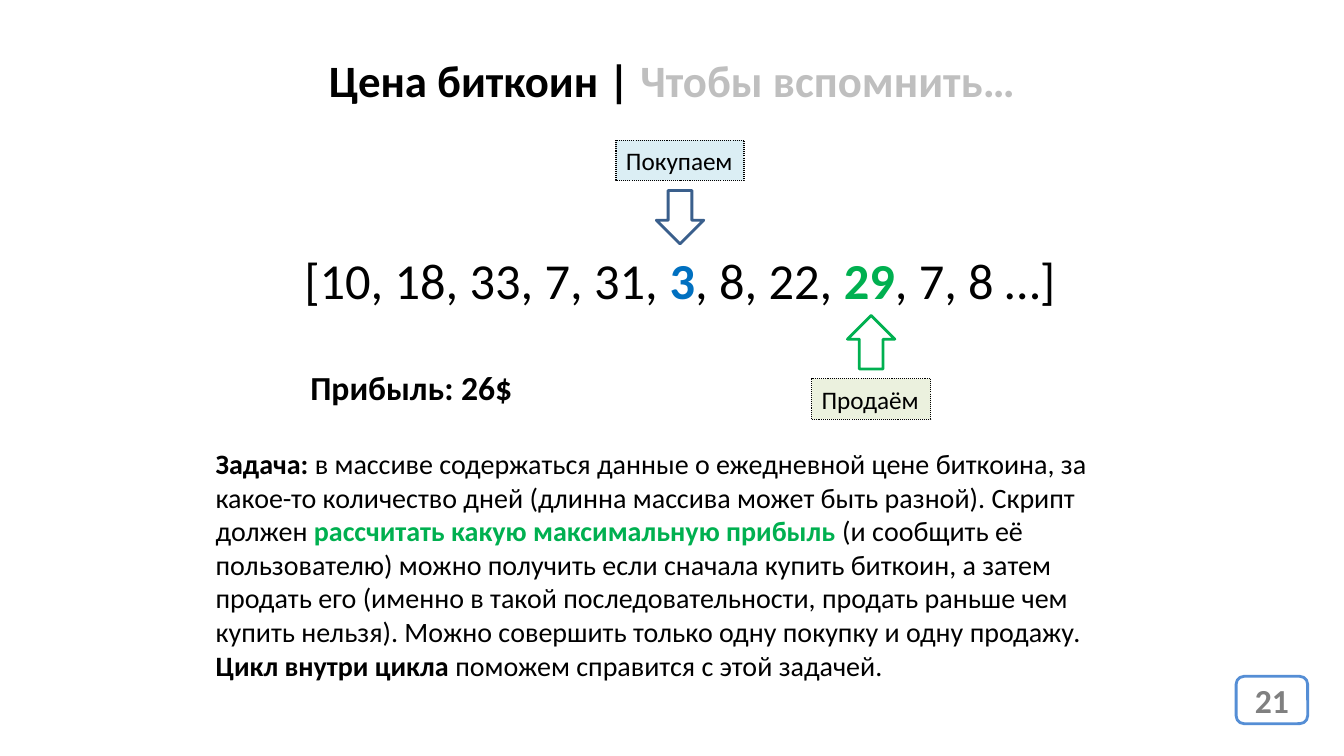
from pptx import Presentation
from pptx.dml.color import RGBColor
from pptx.enum.dml import MSO_LINE
from pptx.enum.shapes import MSO_SHAPE
from pptx.enum.text import MSO_ANCHOR, MSO_AUTO_SIZE, PP_ALIGN
from pptx.util import Inches, Pt

RECT, ROUND, ARROW = MSO_SHAPE.RECTANGLE, MSO_SHAPE.ROUNDED_RECTANGLE, MSO_SHAPE.DOWN_ARROW
DOTS = MSO_LINE.ROUND_DOT
LEFT, CENTER = PP_ALIGN.LEFT, PP_ALIGN.CENTER
TOP, MIDDLE = MSO_ANCHOR.TOP, MSO_ANCHOR.MIDDLE
FIXED = MSO_AUTO_SIZE.NONE

BLACK = RGBColor(0x00, 0x00, 0x00)
WHITE = RGBColor(0xFF, 0xFF, 0xFF)
SILVER = RGBColor(0xBF, 0xBF, 0xBF)
GRAY = RGBColor(0x80, 0x80, 0x80)
GREEN = RGBColor(0x00, 0xB0, 0x50)
BLUE = RGBColor(0x00, 0x70, 0xC0)
NAVY = RGBColor(0x3A, 0x5F, 0x8C)
SKY = RGBColor(0x55, 0x8E, 0xD5)
ICE = RGBColor(0xDB, 0xEE, 0xF4)
CREAM = RGBColor(0xEB, 0xF1, 0xDE)

WIDE = 13.33


def write(shape, runs, size, align=LEFT, anchor=TOP, wrap=False):
    """Fill a shape with one paragraph of (text, color, bold) runs."""
    frame = shape.text_frame
    frame.auto_size = FIXED
    frame.word_wrap = wrap
    frame.vertical_anchor = anchor
    para = frame.paragraphs[0]
    para.alignment = align
    for text, color, bold in runs:
        run = para.add_run()
        run.text = text
        run.font.name = "Calibri"
        run.font.size = Pt(size)
        run.font.bold = bold
        run.font.color.rgb = color


def add_text(slide, box, runs, size, **style):
    """Add a text box with styled runs."""
    write(slide.shapes.add_textbox(*map(Inches, box)), runs, size, **style)


def add_form(slide, kind, box, line, width, fill=None):
    """Add an outlined preset shape without a shadow."""
    form = slide.shapes.add_shape(kind, *map(Inches, box))
    form.shadow.inherit = False
    if fill is None:
        form.fill.background()
    else:
        form.fill.solid()
        form.fill.fore_color.rgb = fill
    form.line.color.rgb = line
    form.line.width = Pt(width)
    return form


def add_title(slide, box):
    """Add the two-tone heading."""
    runs = [("Цена биткоин | ", BLACK, True), ("Чтобы вспомнить…", SILVER, True)]
    add_text(slide, box, runs, 32, align=CENTER, anchor=MIDDLE, wrap=True)


def add_mark(slide, box, label, fill, color, above):
    """Add a dotted label and the arrow leading from it to a price."""
    left, top, width, height = box
    wide, tall, gap = 0.47, 0.53, 0.1
    tag = add_form(slide, RECT, box, BLACK, 0.75, fill)
    tag.line.dash_style = DOTS
    write(tag, [(label, BLACK, False)], 18)
    start = top + height + gap if above else top - gap - tall
    arrow = add_form(slide, ARROW, (left + (width - wide) / 2, start, wide, tall), color, 2)
    arrow.rotation = 0 if above else 180


def add_prices(slide, box):
    """Add the price list, its buy and sell marks and the profit."""
    left, top, width, height = box
    runs = [
        ("[10, 18, 33, 7, 31, ", BLACK, False),
        ("3", BLUE, True),
        (", 8, 22, ", BLACK, False),
        ("29", GREEN, True),
        (", 7, 8 …]", BLACK, False),
    ]
    add_text(slide, box, runs, 36)
    add_mark(slide, (left + 3.19, top - 1.03, 1.27, 0.4), "Покупаем", ICE, NAVY, True)
    add_mark(slide, (left + 5.13, top + height + 0.63, 1.18, 0.4), "Продаём", CREAM, GREEN, False)
    profit = (left + 0.06, top + height + 0.46, 2.3, 0.5)
    add_text(slide, profit, [("Прибыль: 26$", BLACK, True)], 24)


def add_task(slide, box):
    """Add the wording of the task."""
    runs = [
        ("Задача: ", BLACK, True),
        ("в массиве содержаться данные о ежедневной цене биткоина, за какое-то "
         "количество дней (длинна массива может быть разной). Скрипт должен ", BLACK, False),
        ("рассчитать какую максимальную прибыль ", GREEN, True),
        ("(и сообщить её пользователю) можно получить если сначала купить биткоин, "
         "а затем продать его (именно в такой последовательности, продать раньше чем "
         "купить нельзя). Можно совершить только одну покупку и одну продажу. ", BLACK, False),
        ("Цикл внутри цикла ", BLACK, True),
        ("поможем справится с этой задачей.", BLACK, False),
    ]
    add_text(slide, box, runs, 20, wrap=True)


def add_page(slide, box):
    """Add the framed page number."""
    frame = add_form(slide, ROUND, box, SKY, 2, WHITE)
    write(frame, [("21", GRAY, True)], 24, align=CENTER, anchor=MIDDLE)


def main():
    """Build and save the slide."""
    deck = Presentation()
    deck.slide_width, deck.slide_height = Inches(WIDE), Inches(7.5)
    slide = deck.slides.add_slide(deck.slide_layouts[6])
    add_title(slide, (0, 0.36, WIDE, 0.86))
    add_page(slide, (12.26, 6.71, 0.71, 0.47))
    add_task(slide, (2.04, 4.38, 9.41, 2.46))
    add_prices(slide, (2.92, 2.42, 7.73, 0.71))
    deck.save("out.pptx")


if __name__ == "__main__":
    main()
